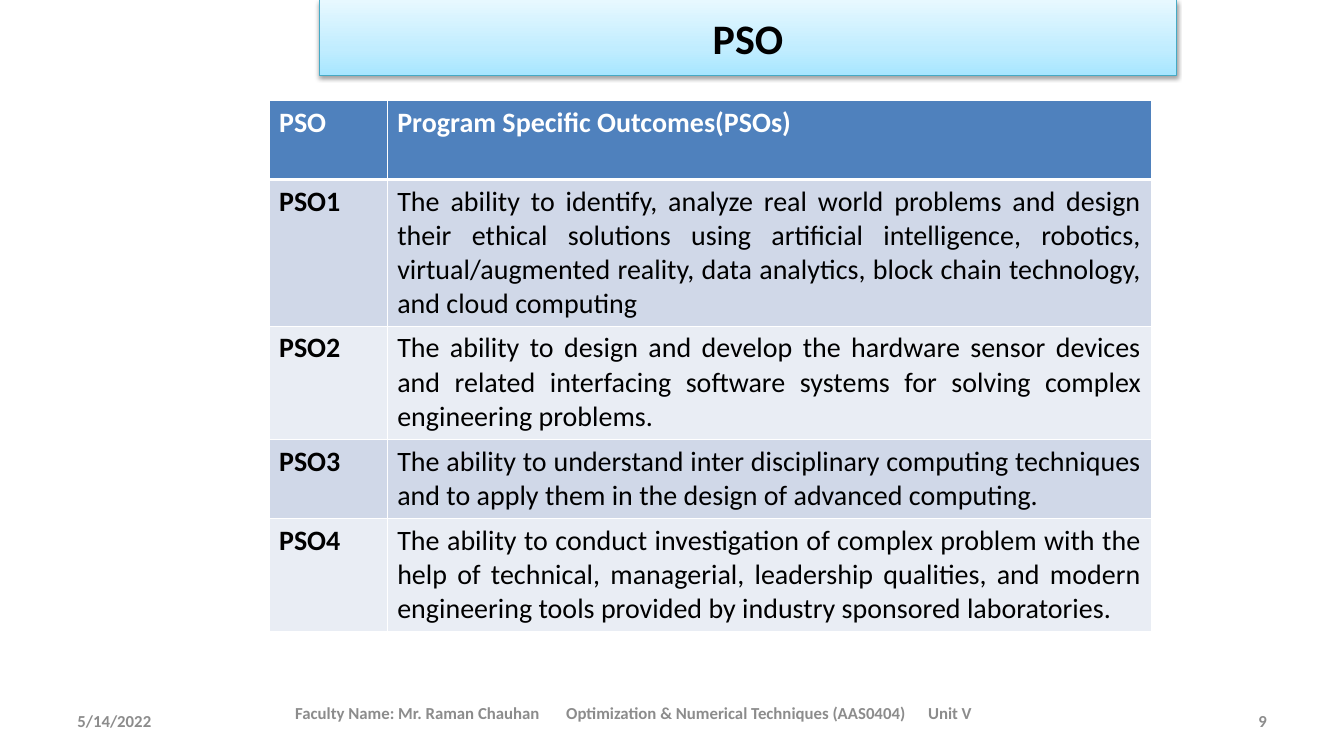
from copy import deepcopy
from dataclasses import dataclass

from lxml.etree import SubElement
from pptx import Presentation
from pptx.dml.color import RGBColor
from pptx.enum.shapes import MSO_SHAPE
from pptx.enum.text import MSO_ANCHOR, PP_ALIGN
from pptx.oxml.ns import qn
from pptx.util import Cm, Pt


@dataclass(frozen=True)
class Theme:
    """Colours, font and type sizes of the slide."""
    font: str = "Calibri"
    title_size: int = 30
    table_size: int = 20
    footer_size: int = 12
    black: str = "000000"
    white: str = "FFFFFF"
    grey: str = "8C8C8C"
    header: str = "4F81BD"
    bands: tuple = ("D0D8E8", "E9EDF4")
    title_line: str = "46AAC5"
    title_stops: tuple = ((0, "A7E6FF"), (0.35, "C1EDFF"), (1, "E7F8FF"))


THEME = Theme()
OUTCOMES = [
    ("PSO", "Program Specific Outcomes(PSOs)"),
    ("PSO1", "The ability to identify, analyze real world problems and design their ethical "
     "solutions using artificial intelligence, robotics, virtual/augmented reality, data "
     "analytics, block chain technology, and cloud computing"),
    ("PSO2", "The ability to design and develop the hardware sensor devices and related "
     "interfacing software systems for solving complex engineering problems."),
    ("PSO3", "The ability to understand inter disciplinary computing techniques and to apply "
     "them in the design of advanced computing."),
    ("PSO4", "The ability to conduct investigation of complex problem with the help of "
     "technical, managerial, leadership qualities, and modern engineering tools provided by "
     "industry sponsored laboratories."),
]
ROW_HEIGHTS = (1.98, 3.7, 2.86, 1.98, 2.86)
COLUMN_SHARES = (0.134, 0.866)
FOOTER_TABS = (6.83, 15.95)


def write(tf, text, size, color, bold=True, align=PP_ALIGN.LEFT):
    """Write one formatted paragraph into a text frame and return it."""
    p = tf.paragraphs[0]
    p.alignment = align
    r = p.add_run()
    r.text = text
    values = {"name": THEME.font, "size": Pt(size), "bold": bold}
    for name, value in values.items():
        setattr(r.font, name, value)
    r.font.color.rgb = RGBColor.from_string(color)
    return p


def add_title(s, left, top, width, height):
    """Place the shaded title bar in its box."""
    sp = s.shapes.add_shape(MSO_SHAPE.RECTANGLE, Cm(left), Cm(top), Cm(width), Cm(height))
    sp.fill.gradient()
    sp.fill.gradient_angle = 90
    stops = sp._element.spPr.find(qn("a:gradFill")).find(qn("a:gsLst"))
    stops.insert(1, deepcopy(stops[0]))
    for stop, (position, color) in zip(sp.fill.gradient_stops, THEME.title_stops):
        stop.position = position
        stop.color.rgb = RGBColor.from_string(color)
    sp.line.color.rgb = RGBColor.from_string(THEME.title_line)
    sp.line.width = Pt(0.75)
    sp.shadow.inherit = False
    effects = sp._element.spPr.find(qn("a:effectLst"))
    shadow = SubElement(effects, qn("a:outerShdw"), blurRad="40000", dist="20000",
                        dir="5400000", rotWithShape="0")
    tint = SubElement(shadow, qn("a:srgbClr"), val=THEME.black)
    SubElement(tint, qn("a:alpha"), val="38000")
    sp.text_frame.vertical_anchor = MSO_ANCHOR.MIDDLE
    write(sp.text_frame, "PSO", THEME.title_size, THEME.black, align=PP_ALIGN.CENTER)


def add_borders(cell, row):
    """Draw white cell borders, with a thick rule under the header row."""
    thick = {0: "lnB", 1: "lnT"}.get(row)
    for side in ("lnL", "lnR", "lnT", "lnB"):
        width = Pt(3 if side == thick else 1)
        ln = SubElement(cell._tc.get_or_add_tcPr(), qn(f"a:{side}"), w=str(width))
        SubElement(SubElement(ln, qn("a:solidFill")), qn("a:srgbClr"), val=THEME.white)


def add_outcomes(s, left, top, width):
    """Place the table of programme outcomes in its box."""
    frame = s.shapes.add_table(len(OUTCOMES), 2, Cm(left), Cm(top), Cm(width),
                               Cm(sum(ROW_HEIGHTS)))
    table = frame.table
    for column, share in zip(table.columns, COLUMN_SHARES):
        column.width = Cm(width * share)
    for i, (texts, height) in enumerate(zip(OUTCOMES, ROW_HEIGHTS)):
        table.rows[i].height = Cm(height)
        fill = THEME.bands[(i - 1) % 2] if i else THEME.header
        color = THEME.black if i else THEME.white
        for j, text in enumerate(texts):
            cell = table.cell(i, j)
            add_borders(cell, i)
            cell.fill.solid()
            cell.fill.fore_color.rgb = RGBColor.from_string(fill)
            body = i > 0 and j > 0
            write(cell.text_frame, text, THEME.table_size, color, not body,
                  PP_ALIGN.JUSTIFY if body else PP_ALIGN.LEFT)


def add_footer_text(s, left, top, width, height, text, align=PP_ALIGN.LEFT, tabs=()):
    """Place one footer text in its box, with optional tab stops."""
    tf = s.shapes.add_textbox(Cm(left), Cm(top), Cm(width), Cm(height)).text_frame
    tf.word_wrap = True
    tf.vertical_anchor = MSO_ANCHOR.MIDDLE
    p = write(tf, text, THEME.footer_size, THEME.grey, align=align)
    if tabs:
        tab_list = SubElement(p._p.get_or_add_pPr(), qn("a:tabLst"))
        for tab in tabs:
            SubElement(tab_list, qn("a:tab"), pos=str(Cm(tab)), algn="l")


def add_footer(s, left, top, width):
    """Place the date, course line and page number along the bottom."""
    side = 7.9
    add_footer_text(s, left, top, side, 1.01, "5/14/2022")
    add_footer_text(s, left + 5.49, top, 18.42, 0.61,
                    "Faculty Name: Mr. Raman Chauhan\t"
                    "Optimization & Numerical Techniques (AAS0404)\tUnit V",
                    tabs=FOOTER_TABS)
    add_footer_text(s, left + width - side, top, side, 1.01, "9", PP_ALIGN.RIGHT)


def main():
    """Build the slide and save it."""
    prs = Presentation()
    prs.slide_width, prs.slide_height = Cm(33.87), Cm(19.05)
    s = prs.slides.add_slide(prs.slide_layouts[6])
    add_footer(s, 1.7, 17.65, 30.48)
    add_title(s, 8.05, 0, 21.6, 1.9)
    add_outcomes(s, 6.78, 2.54, 22.23)
    prs.save("out.pptx")


if __name__ == "__main__":
    main()
